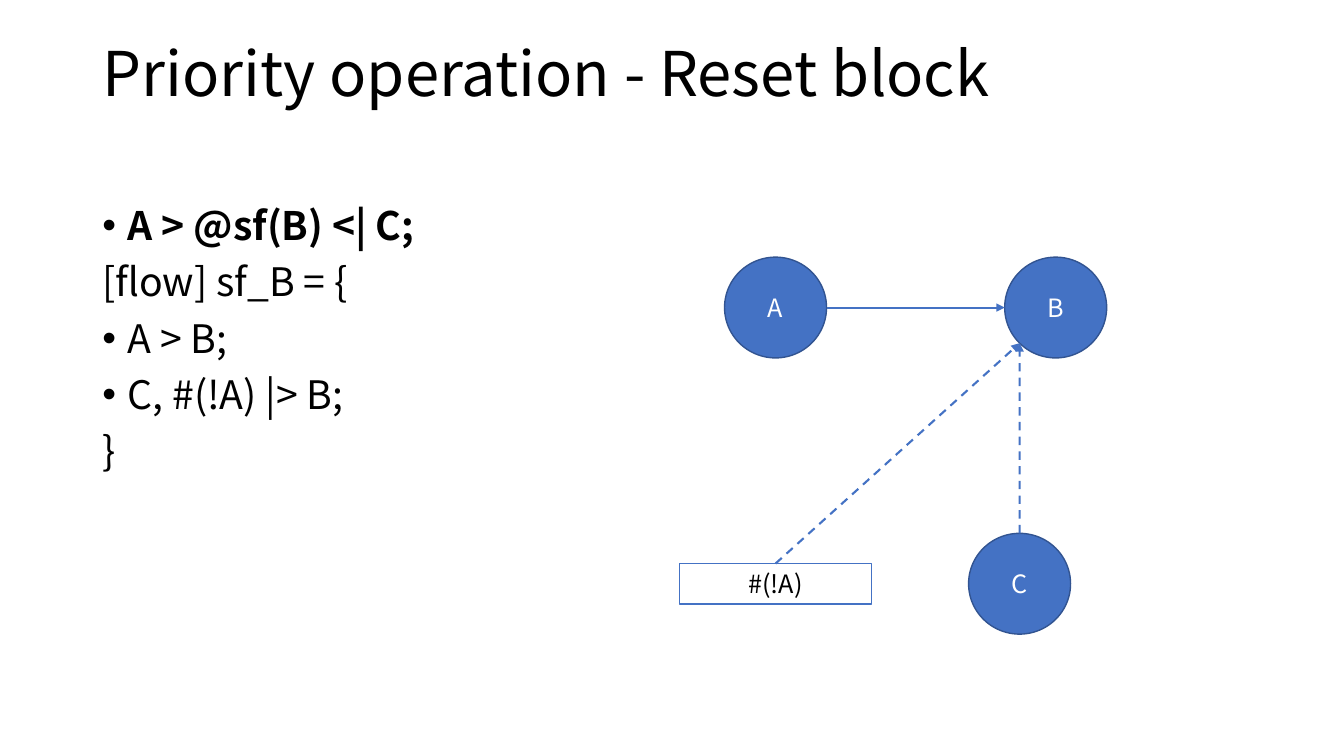
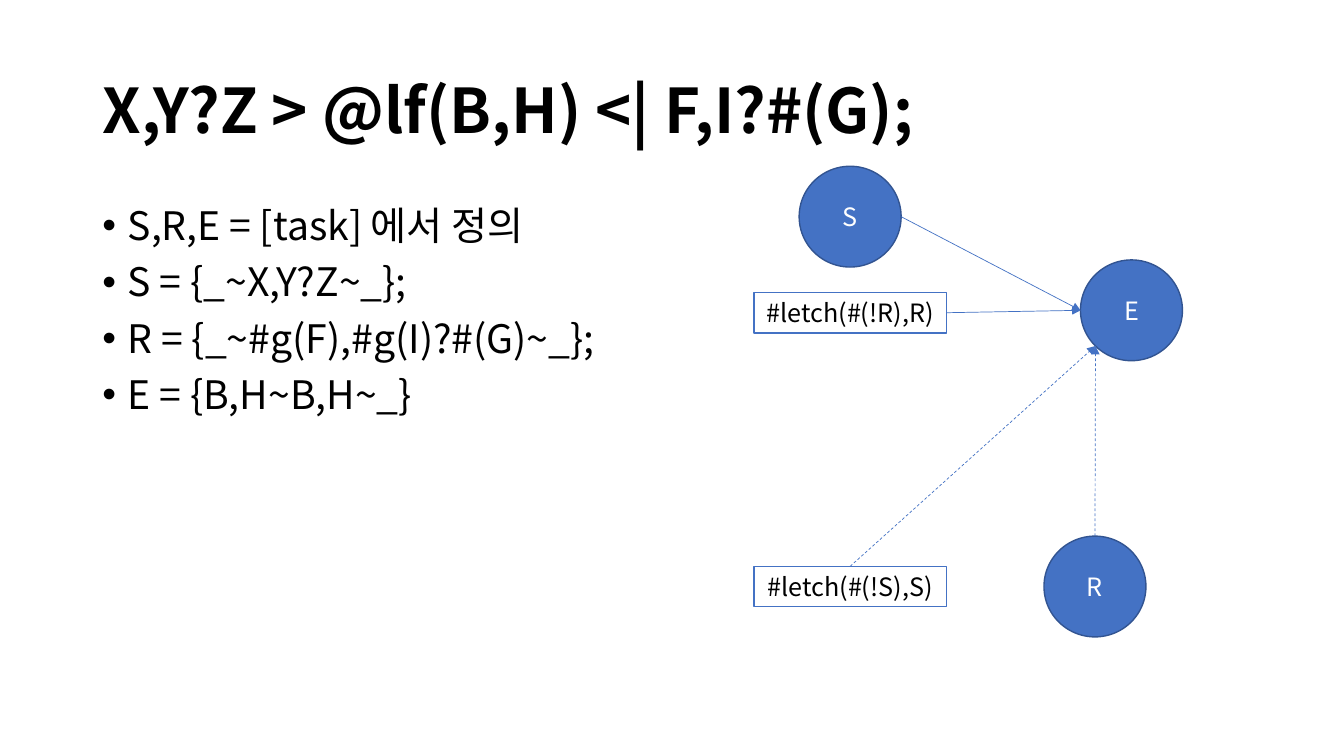
from dataclasses import dataclass
from math import cos, radians, sin

from lxml import etree
from pptx import Presentation
from pptx.dml.color import RGBColor
from pptx.enum.dml import MSO_LINE_DASH_STYLE as Dash
from pptx.enum.shapes import MSO_CONNECTOR as Connector, MSO_SHAPE as Shape
from pptx.enum.text import MSO_ANCHOR as Anchor, PP_ALIGN as Align
from pptx.oxml.ns import qn
from pptx.util import Cm, Pt


@dataclass(frozen=True)
class Theme:
    font: str = "Noto Sans CJK KR"
    black: str = "000000"
    white: str = "FFFFFF"
    blue: str = "4472C4"
    edge: str = "325491"
    title_size: int = 44
    body_size: int = 28
    label_size: int = 18
    outline: float = 1


THEME = Theme()

# Shared geometry in centimetres: left, top, width, height
SLIDE_SIZE = (33.87, 19.05)
TITLE_BOX = (2.33, 1.02, 29.21, 3.68)
BODY_BOX = (2.33, 5.08, 29.21, 12.09)
NODE_SIZE = (2.57, 2.54)
TAG_SIZE = (4.85, 1.02)
BULLET_INDENT = 0.64
INSET = 0.13

# Content. Lines: (text, bulleted, bold); nodes and tags: text -> (left, top);
# arrows: (from, its side, to, its side, dashed)
SLIDES = [
    {
        "title": "Priority operation - Reset block",
        "title_bold": False,
        "title_raise": 0.94,
        "lines": [
            ("A > @sf(B) <| C;", True, True),
            ("[flow] sf_B = {", False, False),
            ("A > B;", True, False),
            ("C, #(!A) |> B;", True, False),
            ("}", False, False),
        ],
        "nodes": {"A": (18.26, 6.48), "B": (25.32, 6.48), "C": (24.41, 13.44)},
        "tags": {"#(!A)": (17.12, 14.2)},
        "arrow_width": 1.5,
        "arrows": [
            ("C", "top", "B", "lower left", True),
            ("#(!A)", "top", "B", "lower left", True),
            ("A", "right", "B", "left", False),
        ],
    },
    {
        "title": "X,Y?Z > @lf(B,H) <| F,I?#(G);",
        "title_bold": True,
        "title_raise": 0,
        "lines": [
            ("S,R,E = [task] 에서 정의", True, False),
            ("S = {_~X,Y?Z~_};", True, False),
            ("R = {_~#g(F),#g(I)?#(G)~_};", True, False),
            ("E = {B,H~B,H~_}", True, False),
        ],
        "nodes": {"S": (20.14, 4.19), "E": (27.23, 6.55), "R": (26.31, 13.51)},
        "tags": {"#letch(#(!S),S)": (19, 14.27), "#letch(#(!R),R)": (19, 7.37)},
        "arrow_width": 0.5,
        "arrows": [
            ("R", "top", "E", "lower left", True),
            ("#letch(#(!S),S)", "top", "E", "lower left", True),
            ("#letch(#(!R),R)", "right", "E", "left", False),
            ("S", "right", "E", "left", False),
        ],
    },
]

# Direction of each docking side, in degrees clockwise from the right
SIDES = {"right": 0, "lower left": 135, "left": 180, "top": 270}


def rgb(value):
    return RGBColor.from_string(value)


def write(paragraph, text, *, size, color=THEME.black, bold=False,
          align=Align.LEFT, spacing=None, before=0, bullet=False):
    """Put formatted text into a paragraph."""
    paragraph.alignment = align
    paragraph.space_before = Pt(before)
    if spacing:
        paragraph.line_spacing = spacing
    if bullet:
        props = paragraph._p.get_or_add_pPr()
        props.set("marL", str(Cm(BULLET_INDENT)))
        props.set("indent", str(-Cm(BULLET_INDENT)))
        etree.SubElement(props, qn("a:buFont")).set("typeface", "Arial")
        etree.SubElement(props, qn("a:buChar")).set("char", "•")
    run = paragraph.add_run()
    run.text = text
    run.font.name = THEME.font
    run.font.size = Pt(size)
    run.font.bold = bold
    run.font.color.rgb = rgb(color)
    east_asian = etree.SubElement(run._r.get_or_add_rPr(), qn("a:ea"))
    east_asian.set("typeface", THEME.font)


def add_title(slide, text, bold, raise_by):
    title = slide.shapes.title
    title.left, title.top, title.width, title.height = map(Cm, TITLE_BOX)
    frame = title.text_frame
    frame.vertical_anchor = Anchor.MIDDLE
    # A deeper bottom margin lifts the centred line
    frame.margin_bottom = Cm(INSET + 2 * raise_by)
    write(frame.paragraphs[0], text, size=THEME.title_size, bold=bold, spacing=0.9)


def add_body(slide, lines):
    frame = slide.shapes.add_textbox(*map(Cm, BODY_BOX)).text_frame
    frame.word_wrap = True
    for index, (text, bullet, bold) in enumerate(lines):
        paragraph = frame.add_paragraph() if index else frame.paragraphs[0]
        write(paragraph, text, size=THEME.body_size, bold=bold, bullet=bullet,
              spacing=0.9, before=10 if index else 0)


def add_label(slide, kind, text, place, size, *, fill, line, color):
    """Draw one outlined shape with a centred label."""
    label = slide.shapes.add_shape(kind, *map(Cm, place + size))
    label.shadow.inherit = False
    label.fill.solid()
    label.fill.fore_color.rgb = rgb(fill)
    label.line.color.rgb = rgb(line)
    label.line.width = Pt(THEME.outline)
    frame = label.text_frame
    frame.word_wrap = True
    frame.vertical_anchor = Anchor.MIDDLE
    frame.margin_top = frame.margin_bottom = 0
    write(frame.paragraphs[0], text, size=THEME.label_size, color=color,
          align=Align.CENTER)
    return label


def dock(shape, side):
    """Point on the outline of a shape where an arrow meets it."""
    angle = radians(SIDES[side])
    x = shape.left + shape.width / 2 * (1 + cos(angle))
    y = shape.top + shape.height / 2 * (1 + sin(angle))
    return round(x), round(y)


def add_arrow(slide, start, end, width, dashed):
    arrow = slide.shapes.add_connector(Connector.STRAIGHT, *start, *end)
    arrow.line.color.rgb = rgb(THEME.blue)
    arrow.line.width = Pt(width)
    if dashed:
        arrow.line.dash_style = Dash.DASH
    etree.SubElement(arrow.line._get_or_add_ln(), qn("a:tailEnd")).set("type", "triangle")
    etree.SubElement(arrow._element.spPr, qn("a:effectLst"))


def build_slide(deck, content):
    slide = deck.slides.add_slide(deck.slide_layouts[5])
    add_title(slide, content["title"], content["title_bold"], content["title_raise"])
    add_body(slide, content["lines"])

    # Diagram: nodes, tags, then the arrows between them
    parts = {}
    for text, place in content["nodes"].items():
        parts[text] = add_label(slide, Shape.OVAL, text, place, NODE_SIZE,
                                fill=THEME.blue, line=THEME.edge, color=THEME.white)
    for text, place in content["tags"].items():
        parts[text] = add_label(slide, Shape.RECTANGLE, text, place, TAG_SIZE,
                                fill=THEME.white, line=THEME.blue, color=THEME.black)
    for source, source_side, target, target_side, dashed in content["arrows"]:
        add_arrow(slide, dock(parts[source], source_side),
                  dock(parts[target], target_side), content["arrow_width"], dashed)


def main():
    deck = Presentation()
    deck.slide_width, deck.slide_height = map(Cm, SLIDE_SIZE)
    for content in SLIDES:
        build_slide(deck, content)
    deck.save("out.pptx")


if __name__ == "__main__":
    main()
